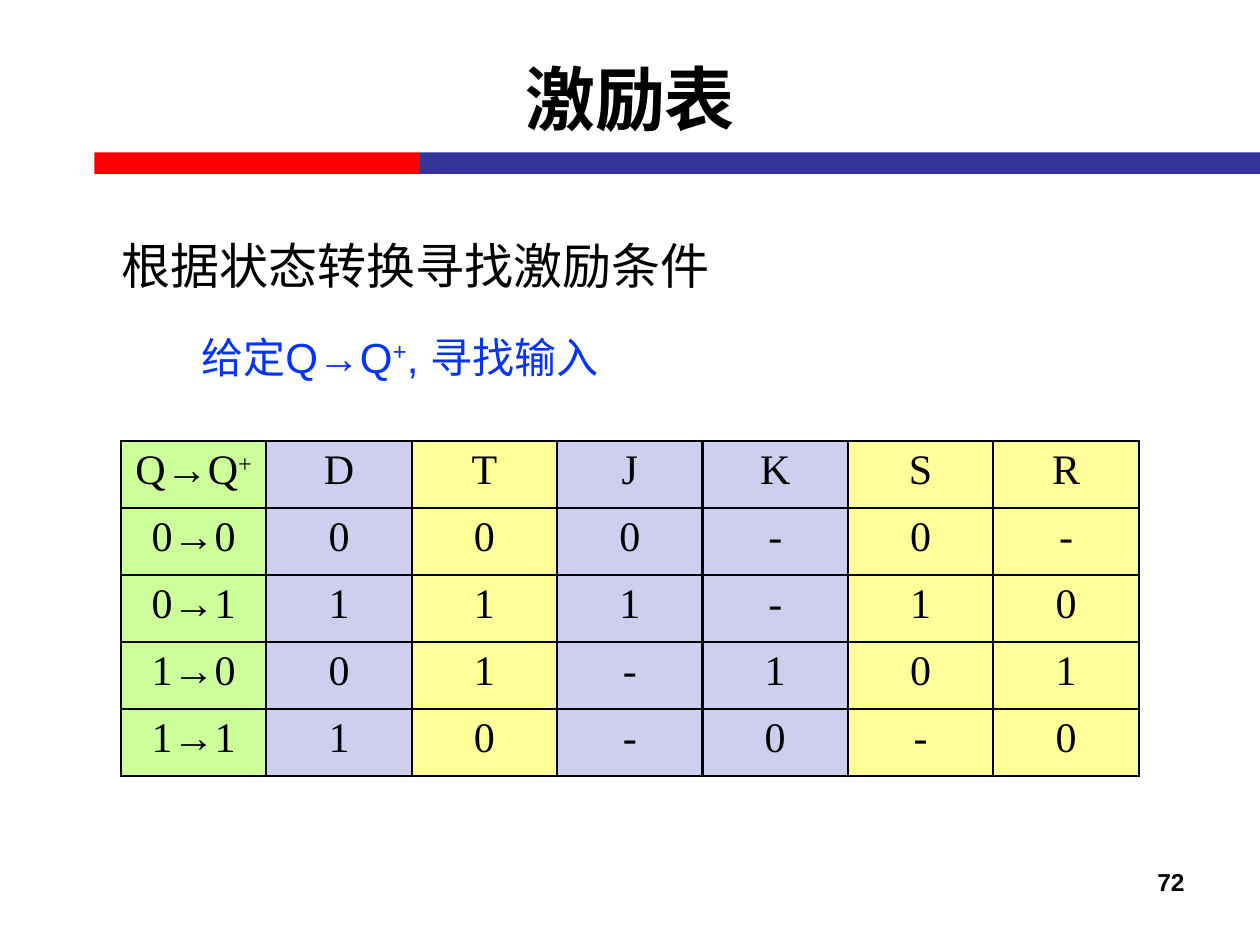
from dataclasses import dataclass

from lxml import etree
from pptx import Presentation
from pptx import util as u
from pptx.dml.color import RGBColor
from pptx.enum import shapes, text
from pptx.oxml.ns import qn


@dataclass(frozen=True)
class Theme:
    black: str = "000000"
    red: str = "FF0000"
    navy: str = "333399"
    blue: str = "0432FF"
    green: str = "CCFF99"
    lilac: str = "CECEEF"
    yellow: str = "FFFF99"
    sans: str = "Arial"
    serif: str = "Times New Roman"
    title: int = 40
    lead: int = 28
    normal: int = 24
    number: int = 14
    border: float = 1.5


THEME = Theme()
WIDTH, HEIGHT = 10, 7.5
SUPERSCRIPT = "30000"

HEADER = ["Q→Q^+", "D", "T", "J", "K", "S", "R"]
ROWS = ["0→0 0 0 0 - 0 -", "0→1 1 1 1 - 1 0",
        "1→0 0 1 - 1 0 1", "1→1 1 0 - 0 - 0"]
COLUMN_FILLS = [THEME.green, THEME.lilac, THEME.yellow, THEME.lilac,
                THEME.lilac, THEME.yellow, THEME.yellow]


def inches(box):
    return [u.Inches(length) for length in box]


def paint(shape, color):
    shape.fill.solid()
    shape.fill.fore_color.rgb = RGBColor.from_string(color)


def write(frame, content, size, color=THEME.black, name=THEME.sans,
          bold=False, align=text.PP_ALIGN.LEFT):
    """Fill a frame with one paragraph; the sign after each ^ is raised."""
    para = frame.paragraphs[0]
    para.alignment = align
    first, *rest = content.split("^")
    pieces = [(first, False)]
    for part in rest:
        pieces += [(part[0], True), (part[1:], False)]
    for words, raised in pieces:
        if not words:
            continue
        span = para.add_run()
        span.text = words
        look = {"size": u.Pt(size), "name": name, "bold": bold}
        for key, value in look.items():
            setattr(span.font, key, value)
        span.font.color.rgb = RGBColor.from_string(color)
        if raised:
            span.font._element.set("baseline", SUPERSCRIPT)


def add_text(page, box, content, size, **look):
    frame = page.shapes.add_textbox(*inches(box)).text_frame
    frame.word_wrap = True
    write(frame, content, size, **look)


def add_band(page, box):
    """Two-colour rule under the title, red for its first part."""
    left, top, width, height = box
    split = WIDTH / 3
    parts = [(left, split - left, THEME.red),
             (split, left + width - split, THEME.navy)]
    for start, length, color in parts:
        bar = page.shapes.add_shape(shapes.MSO_SHAPE.RECTANGLE,
                                    *inches((start, top, length, height)))
        bar.shadow.inherit = False
        bar.line.fill.background()
        paint(bar, color)


def add_title(page, box, content):
    title = page.shapes.title
    title.left, title.top, title.width, title.height = inches(box)
    frame = title.text_frame
    frame.auto_size = text.MSO_AUTO_SIZE.NONE
    frame.vertical_anchor = text.MSO_ANCHOR.MIDDLE
    write(frame, content, THEME.title, bold=True, align=text.PP_ALIGN.CENTER)


def outline(cell):
    """Border lines must come before the fill in the cell's properties."""
    props = cell._tc.get_or_add_tcPr()
    for place, side in enumerate(("lnL", "lnR", "lnT", "lnB")):
        line = etree.Element(qn(f"a:{side}"), w=str(u.Pt(THEME.border)))
        fill = etree.SubElement(line, qn("a:solidFill"))
        etree.SubElement(fill, qn("a:srgbClr"), val=THEME.black)
        props.insert(place, line)


def add_excitation_table(page, box):
    data = [HEADER] + [row.split() for row in ROWS]
    table = page.shapes.add_table(len(data), len(HEADER), *inches(box)).table
    table.first_row = table.horz_banding = False
    for row, values in enumerate(data):
        for column, value in enumerate(values):
            cell = table.cell(row, column)
            paint(cell, COLUMN_FILLS[column])
            outline(cell)
            write(cell.text_frame, value, THEME.normal, name=THEME.serif,
                  align=text.PP_ALIGN.CENTER)


def main():
    deck = Presentation()
    deck.slide_width, deck.slide_height = inches((WIDTH, HEIGHT))
    page = deck.slides.add_slide(deck.slide_layouts.get_by_name("Title Only"))
    add_band(page, (0.75, 1.21, WIDTH - 0.75, 0.17))
    add_title(page, (0.5, 0.15, WIDTH - 1, 1.25), "激励表")
    add_text(page, (7.17, 6.83, 2.33, 0.52), "72", THEME.number,
             bold=True, align=text.PP_ALIGN.RIGHT)
    add_excitation_table(page, (0.96, 3.5, 8.08, 2.66))
    add_text(page, (0.87, 1.82, 8.06, 0.57), "根据状态转换寻找激励条件", THEME.lead)
    add_text(page, (1.5, 2.58, 3.4, 0.5), "给定Q→Q^+, 寻找输入", THEME.normal,
             color=THEME.blue)
    deck.save("out.pptx")


if __name__ == "__main__":
    main()
